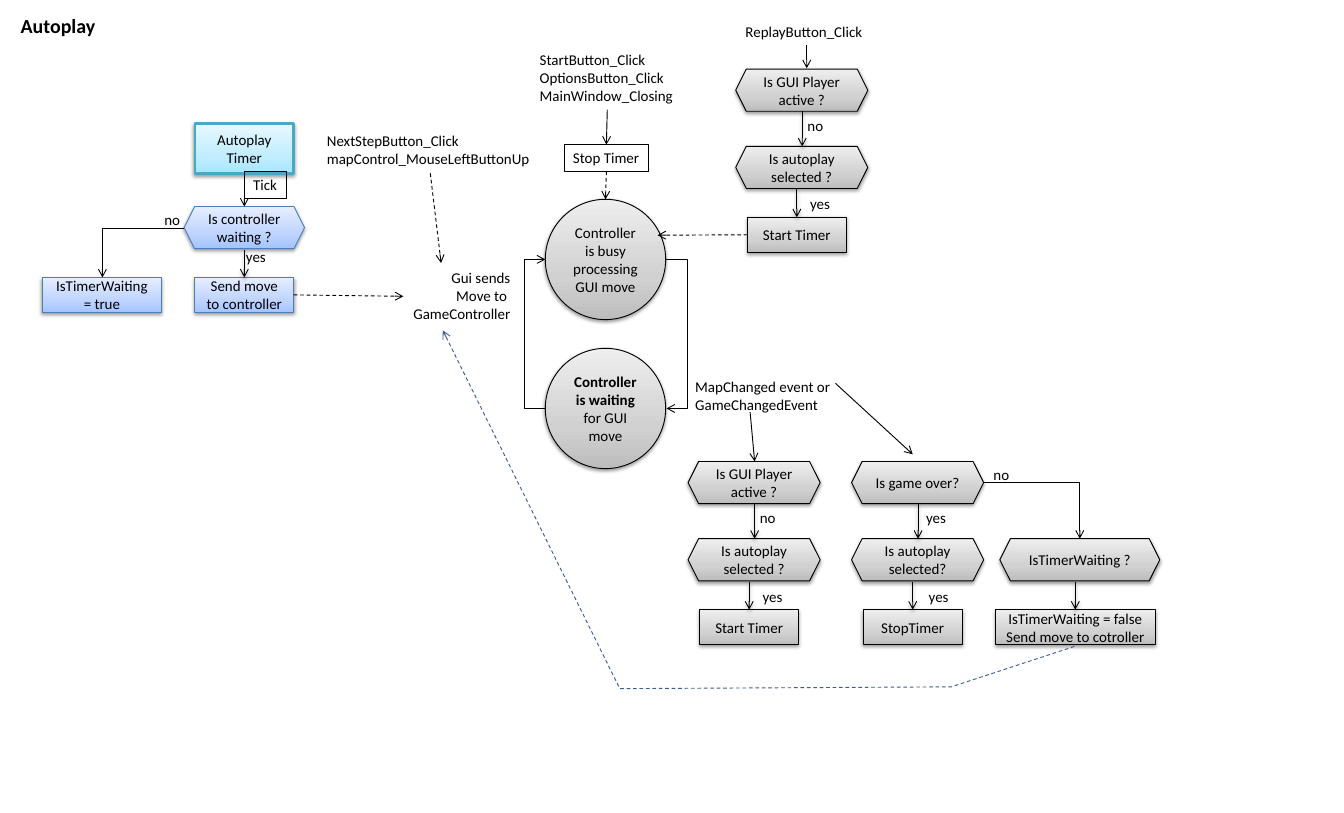
from copy import deepcopy
from pptx import Presentation
from pptx import util as u
from pptx.dml.color import RGBColor
from pptx.enum import dml, shapes, text
from pptx.oxml import parse_xml
from pptx.oxml.ns import nsdecls, qn

BLACK = RGBColor(0, 0, 0)
BLUE_LINE = RGBColor(0x4B, 0x7E, 0xBC)
AQUA_LINE = RGBColor(0x46, 0xAA, 0xC5)
RETURN_LINE = RGBColor(0x3A, 0x5F, 0x8C)
GREYS = [RGBColor(0xBD, 0xBD, 0xBD), RGBColor(0xD1, 0xD1, 0xD1), RGBColor(0xEE, 0xEE, 0xEE)]
BLUES = [RGBColor(0xA4, 0xC4, 0xFF), RGBColor(0xBF, 0xD4, 0xFF), RGBColor(0xE6, 0xEE, 0xFF)]
AQUAS = [RGBColor(0xA7, 0xE6, 0xFF), RGBColor(0xC1, 0xED, 0xFF), RGBColor(0xE7, 0xF8, 0xFF)]
GREY = (GREYS, BLACK, 0.75)
BLUE = (BLUES, BLUE_LINE, 0.75)
AQUA = (AQUAS, AQUA_LINE, 2.25)

OVAL = shapes.MSO_SHAPE.OVAL
HEXAGON = shapes.MSO_SHAPE.HEXAGON
RECT = shapes.MSO_SHAPE.RECTANGLE
LEFT, CENTER, RIGHT = text.PP_ALIGN.LEFT, text.PP_ALIGN.CENTER, text.PP_ALIGN.RIGHT
SHADOW = (
    f'<a:effectLst {nsdecls("a")}><a:outerShdw blurRad="39370" dist="20320" dir="5400000" '
    'rotWithShape="0"><a:srgbClr val="000000"><a:alpha val="38000"/></a:srgbClr>'
    '</a:outerShdw></a:effectLst>'
)
NO_SHADOW = f'<a:effectLst {nsdecls("a")}/>'

TITLE = "Autoplay"
BOLD_LEAD = "Controller is waiting "
NODES = [
    (OVAL, 6.07, 3.88, 1.34, 1.34, GREY, [BOLD_LEAD + "for GUI move"]),
    (OVAL, 6.07, 2.22, 1.34, 1.34, GREY, ["Controller is busy processing GUI move"]),
    (RECT, 2.17, 1.38, 1.1, 0.55, AQUA, ["Autoplay", "Timer"]),
    (HEXAGON, 2.05, 2.3, 1.34, 0.47, BLUE, ["Is controller waiting ?"]),
    (RECT, 2.17, 3.09, 1.1, 0.39, BLUE, ["Send move to controller"]),
    (RECT, 0.47, 3.09, 1.33, 0.39, BLUE, ["IsTimerWaiting = true"]),
    (HEXAGON, 11.13, 6, 1.78, 0.47, GREY, ["IsTimerWaiting ?"]),
    (RECT, 11.08, 6.79, 1.78, 0.39, GREY, ["IsTimerWaiting = false", "Send move to cotroller"]),
]
FLOWS = [
    (7.66, 5.14, "Is GUI Player active ?", "no", "Is autoplay selected ?", "Start Timer", 0),
    (9.48, 5.14, "Is game over?", "yes", "Is autoplay selected?", "StopTimer", 0.03),
    (8.19, 0.77, "Is GUI Player active ?", "no", "Is autoplay selected ?", "Start Timer", 0),
]
LABELS = [
    (4.49, 2.94, 1.29, 0.71, RIGHT, ["Gui sends", "Move to ", "GameController"]),
    (7.64, 4.16, 1.72, 0.5, LEFT, ["MapChanged event or", "GameChangedEvent"]),
    (5.91, 0.51, 1.7, 0.71, LEFT, ["StartButton_Click", "OptionsButton_Click", "MainWindow_Closing"]),
    (3.54, 1.42, 2.49, 0.5, LEFT, ["NextStepButton_Click", "mapControl_MouseLeftButtonUp"]),
    (8.2, 0.2, 1.52, 0.3, LEFT, ["ReplayButton_Click"]),
    (2.64, 2.71, 0.43, 0.3, LEFT, ["yes"]),
    (1.73, 2.3, 0.38, 0.3, LEFT, ["no"]),
    (10.96, 5.14, 0.38, 0.3, LEFT, ["no"]),
]
FRAMED = [
    (2.72, 1.91, 0.47, 0.3, LEFT, ["Tick"]),
    (6.28, 1.61, 0.94, 0.3, LEFT, ["Stop Timer"]),
]
ARROWS = [
    (2.72, 1.93, 2.72, 2.3),
    (8.35, 4.59, 8.4, 5.14),
    (9.3, 4.27, 10.16, 5.06),
    (6.76, 1.22, 6.75, 1.61),
    (8.98, 0.5, 8.98, 0.76),
]
SHADED_ARROWS = [(2.72, 2.78, 2.72, 3.09), (11.97, 6.48, 11.97, 6.79)]
DASHED_ARROWS = [
    (3.27, 3.29, 4.49, 3.3),
    (6.75, 1.92, 6.74, 2.22),
    (4.79, 1.93, 4.91, 2.93),
    (8.32, 2.62, 7.32, 2.62),
]
ELBOWS = [
    (6.08, 4.55, 6.07, 2.89, 25),
    (7.41, 2.89, 7.42, 4.55, 25),
    (2.05, 2.54, 1.14, 3.09, 1),
    (10.95, 5.37, 12.02, 6, 1),
]
RETURN_ROUTE = [(11.96, 7.2), (10.59, 7.65), (6.9, 7.67), (4.93, 3.68)]

prs = Presentation()
prs.slide_width = u.Cm(38)
prs.slide_height = u.Cm(23)
s = prs.slides.add_slide(prs.slide_layouts[6])
rects = []


def write(tf, lines, align, size=12, bold=False):
    for i, line in enumerate(lines):
        p = tf.paragraphs[0] if i == 0 else tf.add_paragraph()
        p.alignment = align
        p.font.name, p.font.size, p.font.bold = "Calibri", u.Pt(size), bold
        p.font.color.rgb = BLACK
        if line.startswith(BOLD_LEAD):
            r = p.add_run()
            r.text, r.font.bold = BOLD_LEAD, True
            line = line[len(BOLD_LEAD):]
        p.add_run().text = line


def add_node(kind, x, y, w, h, style, lines):
    colors, line_color, width = style
    sp = s.shapes.add_shape(kind, *map(u.Inches, (x, y, w, h)))
    sp.fill.gradient()
    sp.fill.gradient_angle = 90
    stops = sp._element.spPr.find(qn("a:gradFill")).find(qn("a:gsLst"))
    stops.insert(1, deepcopy(stops[0]))
    for stop, place, color in zip(sp.fill.gradient_stops, (0, 0.35, 1), colors):
        stop.position = place
        stop.color.rgb = color
    sp.line.color.rgb, sp.line.width = line_color, u.Pt(width)
    sp._element.spPr.append(parse_xml(SHADOW))
    sp.text_frame.word_wrap = True
    sp.text_frame.vertical_anchor = text.MSO_ANCHOR.MIDDLE
    write(sp.text_frame, lines, CENTER)
    if kind == RECT:
        rects.append(sp)


def add_label(x, y, w, h, align, lines, size=12, bold=False):
    sp = s.shapes.add_textbox(*map(u.Inches, (x, y, w, h)))
    tf = sp.text_frame
    tf.word_wrap = False
    tf.auto_size = text.MSO_AUTO_SIZE.SHAPE_TO_FIT_TEXT
    write(tf, lines, align, size, bold)
    return sp


def style_arrow(sp, color=BLACK, dashed=False, shadow=NO_SHADOW):
    sp.line.color.rgb, sp.line.width = color, u.Pt(0.75)
    if dashed:
        sp.line.dash_style = dml.MSO_LINE.DASH
    sp.line._get_or_add_ln().append(parse_xml(f'<a:tailEnd {nsdecls("a")} type="arrow"/>'))
    sp._element.spPr.append(parse_xml(shadow))


def join(connect, x, y):
    for sp in rects:
        mid_x, mid_y = sp.left + sp.width // 2, sp.top + sp.height // 2
        sides = [(mid_x, sp.top), (sp.left, mid_y), (mid_x, sp.top + sp.height), (sp.left + sp.width, mid_y)]
        for site, (side_x, side_y) in enumerate(sides):
            if max(abs(side_x - x), abs(side_y - y)) < u.Inches(0.02):
                connect(sp, site)


def add_arrow(x1, y1, x2, y2, bend=None, **style):
    kind = shapes.MSO_CONNECTOR.ELBOW if bend else shapes.MSO_CONNECTOR.STRAIGHT
    ends = [u.Inches(v) for v in (x1, y1, x2, y2)]
    c = s.shapes.add_connector(kind, *ends)
    style_arrow(c, **style)
    if bend:
        guides = c._element.spPr.find(qn("a:prstGeom")).get_or_add_avLst()
        guides.append(parse_xml(f'<a:gd {nsdecls("a")} name="adj1" fmla="val {bend * 100000}"/>'))
    else:
        join(c.begin_connect, *ends[:2])
        join(c.end_connect, *ends[2:])


title = add_label(0.08, 0.07, 1.15, 0.42, LEFT, [TITLE], 16, True)
tf = title.text_frame
tf.margin_left = tf.margin_right = u.Inches(0.15)
tf.margin_top = tf.margin_bottom = u.Inches(0.08)

for node in NODES:
    add_node(*node)
for label in LABELS:
    add_label(*label)
for label in FRAMED:
    frame = add_label(*label)
    frame.line.color.rgb, frame.line.width = BLACK, u.Pt(0.75)
    rects.append(frame)
for x, y, first, answer, second, action, shift in FLOWS:
    add_node(HEXAGON, x, y, 1.47, 0.47, GREY, [first])
    add_node(HEXAGON, x, y + 0.86, 1.47, 0.47, GREY, [second])
    add_node(RECT, x + 0.13, y + 1.65, 1.1, 0.39, GREY, [action])
    add_arrow(x + 0.74, y + 0.47, x + 0.74, y + 0.86, shadow=SHADOW)
    add_arrow(x + 0.68, y + 1.34, x + 0.68, y + 1.65, shadow=SHADOW)
    add_label(x + 0.7 + shift, y + 0.48, 0.38 if answer == "no" else 0.43, 0.3, LEFT, [answer])
    add_label(x + 0.73 + shift, y + 1.35, 0.43, 0.3, LEFT, ["yes"])

for arrow in ARROWS + ELBOWS:
    add_arrow(*arrow)
for arrow in SHADED_ARROWS:
    add_arrow(*arrow, shadow=SHADOW)
for arrow in DASHED_ARROWS:
    add_arrow(*arrow, dashed=True)

route = [(u.Inches(x), u.Inches(y)) for x, y in RETURN_ROUTE]
builder = s.shapes.build_freeform(*route[0])
builder.add_line_segments(route[1:], close=False)
sp = builder.convert_to_shape()
sp.fill.background()
style_arrow(sp, RETURN_LINE, True)

prs.save("out.pptx")
